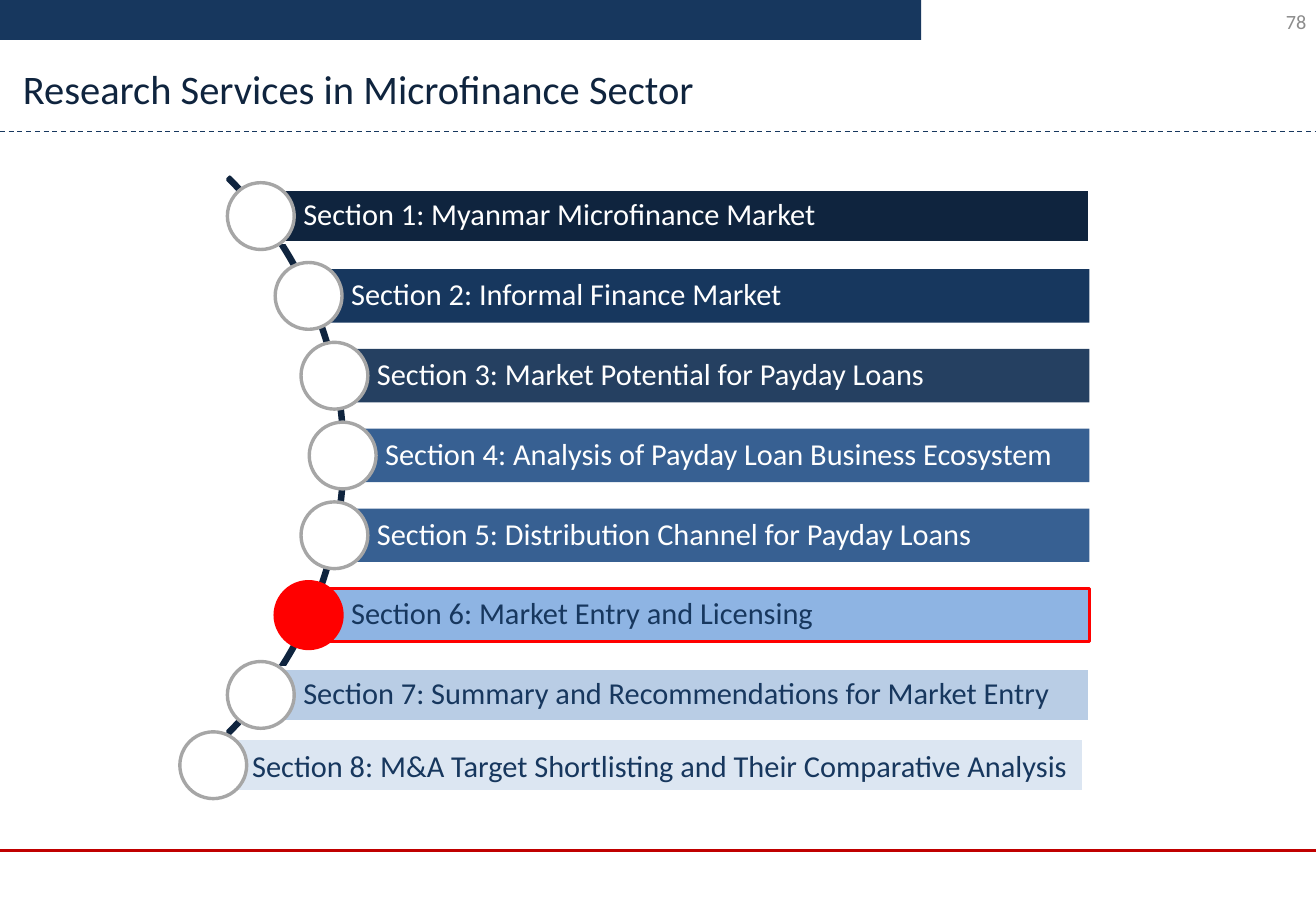
import math
from dataclasses import dataclass

from lxml import etree
from pptx import Presentation
from pptx import util as u
from pptx.dml.color import RGBColor
from pptx.enum import dml, shapes, text
from pptx.oxml.ns import qn

# The grid: square cells, ten to the inch.
CELL = u.Inches(0.1)
COLS, ROWS = 108.3, 75

FONT = "Calibri"
NAVY, DARK, WHITE, RED, GREY = "17375E", "0F243E", "FFFFFF", "FF0000", "A6A6A6"

ARC_X, ARC_Y, ARC_SIZE = -4, ROWS / 2, 64.8
MARKER_RADIUS = 32.2
DOT = 5.5
BAR_HEIGHT, BAR_RIGHT = 4.4, 89.65
PITCH = 6.57


@dataclass
class Section:
    title: str
    fill: str
    ink: str = WHITE
    outline: str | None = None
    dot_fill: str = WHITE
    dot_line: str = GREY


@dataclass
class Place:
    x: float
    y: float
    right: float = BAR_RIGHT
    inset: float = 3.5
    spacing: float = 0.9


SECTIONS = [
    Section("Section 1: Myanmar Microfinance Market", DARK, outline=WHITE),
    Section("Section 2: Informal Finance Market", NAVY),
    Section("Section 3: Market Potential for Payday Loans", "254061"),
    Section("Section 4: Analysis of Payday Loan Business Ecosystem", "376092"),
    Section("Section 5: Distribution Channel for Payday Loans", "376092"),
    Section("Section 6: Market Entry and Licensing", "8EB4E3", NAVY, RED, RED, RED),
    Section("Section 7: Summary and Recommendations for Market Entry",
            "B9CDE5", NAVY, WHITE),
]
LAST_SECTION = Section(
    "Section 8: M&A Target Shortlisting and Their Comparative Analysis",
    "DCE6F2", NAVY, WHITE)
LAST_PLACE = Place(17.55, 63, right=89.2, inset=3.2, spacing=1)


def cells(n: float) -> u.Emu:
    return u.Emu(round(n * CELL))


def rgb(color: str) -> RGBColor:
    return RGBColor.from_string(color)


def add_shape(slide, kind, x: float, y: float, w: float, h: float,
              fill: str | None = None, line: str | None = None):
    sp = slide.shapes.add_shape(kind, cells(x), cells(y), cells(w), cells(h))
    sp.shadow.inherit = False
    if fill:
        sp.fill.solid()
        sp.fill.fore_color.rgb = rgb(fill)
    else:
        sp.fill.background()
    if line:
        sp.line.color.rgb = rgb(line)
        sp.line.width = u.Pt(2)
    else:
        sp.line.fill.background()
    return sp


def add_rule(slide, y: float, color: str, width: float, dashed: bool = False) -> None:
    """Draw a line across the whole slide."""
    line = slide.shapes.add_connector(
        shapes.MSO_CONNECTOR.STRAIGHT, 0, cells(y), cells(COLS), cells(y))
    line.line.color.rgb = rgb(color)
    line.line.width = u.Pt(width)
    if dashed:
        line.line.dash_style = dml.MSO_LINE.DASH
    etree.SubElement(line._element.spPr, qn("a:effectLst"))


def write(sp, words: str, size: float, color: str, align=text.PP_ALIGN.LEFT):
    tf = sp.text_frame
    tf.word_wrap = True
    tf.vertical_anchor = text.MSO_ANCHOR.MIDDLE
    p = tf.paragraphs[0]
    p.text = words
    p.alignment = align
    p.font.name = FONT
    p.font.size = u.Pt(size)
    p.font.color.rgb = rgb(color)
    return p


def add_label(slide, words: str, x: float, y: float, w: float, h: float,
              size: float, color: str, align=text.PP_ALIGN.LEFT) -> None:
    box = slide.shapes.add_textbox(cells(x), cells(y), cells(w), cells(h))
    write(box, words, size, color, align)


def add_section(slide, section: Section, place: Place) -> None:
    """Draw a bar that starts at the centre of its round marker."""
    bar = add_shape(slide, shapes.MSO_SHAPE.RECTANGLE,
                    place.x, place.y - BAR_HEIGHT / 2,
                    place.right - place.x, BAR_HEIGHT,
                    section.fill, section.outline)
    p = write(bar, section.title, 18, section.ink)
    p.line_spacing = place.spacing
    tf = bar.text_frame
    tf.margin_left = cells(place.inset)
    tf.margin_right = tf.margin_top = tf.margin_bottom = cells(0.5)
    add_shape(slide, shapes.MSO_SHAPE.OVAL, place.x - DOT / 2, place.y - DOT / 2,
              DOT, DOT, section.dot_fill, section.dot_line)


def add_arc(slide) -> None:
    arc = add_shape(slide, shapes.MSO_SHAPE.BLOCK_ARC,
                    ARC_X - ARC_SIZE / 2, ARC_Y - ARC_SIZE / 2,
                    ARC_SIZE, ARC_SIZE, line=DARK)
    for i, value in enumerate((189, 27, 0.004)):
        arc.adjustments[i] = value


def main() -> None:
    prs = Presentation()
    prs.slide_width, prs.slide_height = cells(COLS), cells(ROWS)
    slide = prs.slides.add_slide(prs.slide_layouts[6])

    add_label(slide, "78", 83.2, -0.2, 25.3, 4, 12, "8C8C8C", text.PP_ALIGN.RIGHT)
    add_rule(slide, 70, "C00000", 1.5)
    add_shape(slide, shapes.MSO_SHAPE.RECTANGLE, 0, 0, 0.7 * COLS, 3.3, NAVY)
    add_rule(slide, 10.8, NAVY, 0.75, dashed=True)

    add_arc(slide)
    for i, section in enumerate(SECTIONS):
        dy = (i - len(SECTIONS) // 2) * PITCH
        x = ARC_X + math.sqrt(MARKER_RADIUS ** 2 - dy ** 2)
        add_section(slide, section, Place(x, ARC_Y + dy))
    add_section(slide, LAST_SECTION, LAST_PLACE)

    add_label(slide, "Research Services in Microfinance Sector",
              0.9, 4.8, 64.1, 5, 24, DARK)
    prs.save("out.pptx")


if __name__ == "__main__":
    main()
